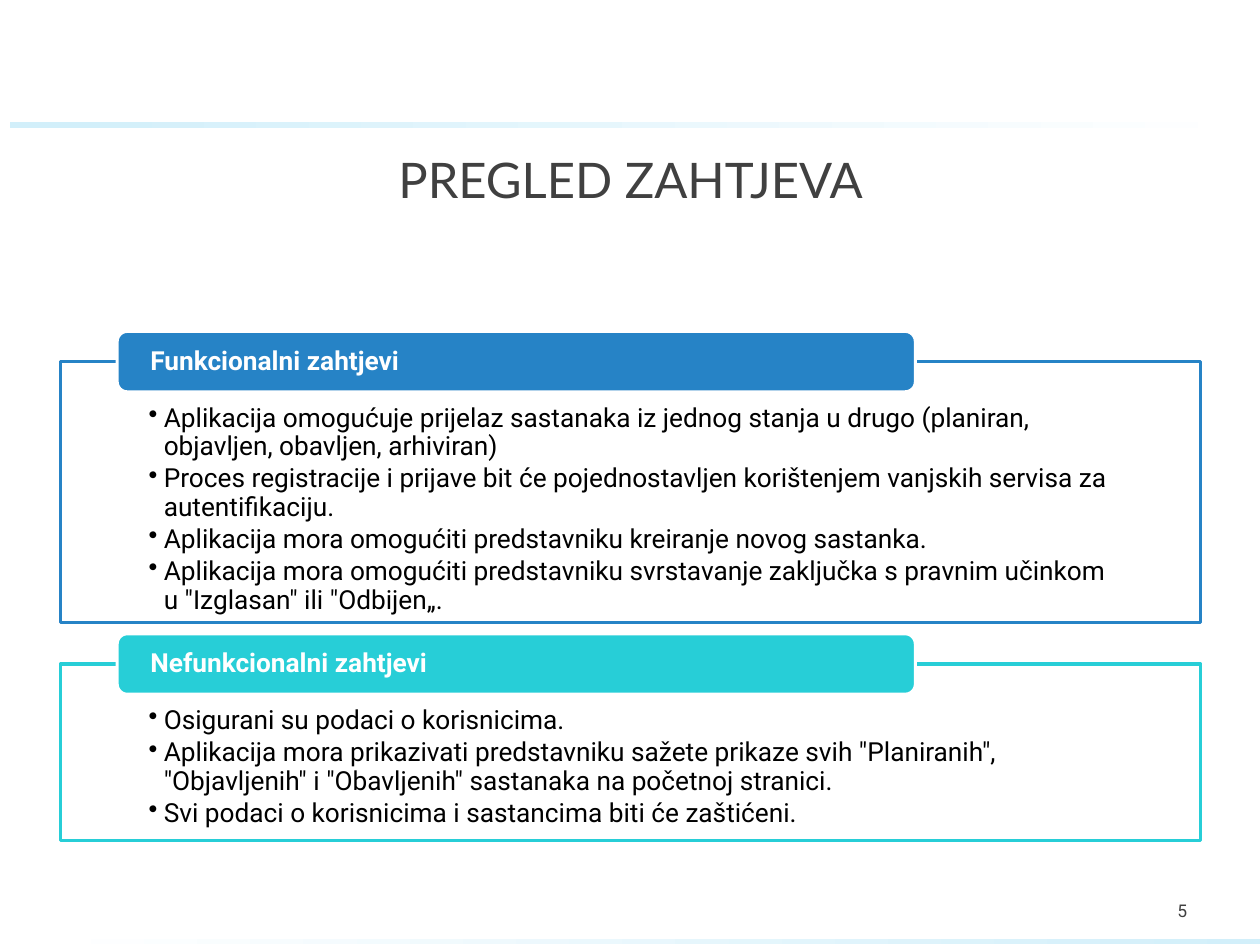
from lxml.etree import SubElement
from pptx import Presentation
from pptx.dml.color import RGBColor
from pptx.enum.shapes import MSO_SHAPE as Geo
from pptx.enum.text import MSO_ANCHOR as Anchor, PP_ALIGN as Align
from pptx.oxml.ns import qn
from pptx.util import Inches, Pt

COLORS = {
    "blue": "2683C6", "teal": "27CED7", "pale": "D2EFFA",
    "white": "FFFFFF", "black": "000000", "gray": "404040",
}
GROUPS = [
    ("Funkcionalni zahtjevi", "blue", 2.63, 2.07, [
        "Aplikacija omogućuje prijelaz sastanaka iz jednog stanja u drugo "
        "(planiran, objavljen, obavljen, arhiviran)",
        "Proces registracije i prijave bit će pojednostavljen korištenjem "
        "vanjskih servisa za autentifikaciju.",
        "Aplikacija mora omogućiti predstavniku kreiranje novog sastanka.",
        "Aplikacija mora omogućiti predstavniku svrstavanje zaključka "
        "s pravnim učinkom u \"Izglasan\" ili \"Odbijen„.",
    ]),
    ("Nefunkcionalni zahtjevi", "teal", 5.03, 1.4, [
        "Osigurani su podaci o korisnicima.",
        "Aplikacija mora prikazivati predstavniku sažete prikaze svih "
        "\"Planiranih\", \"Objavljenih\" i \"Obavljenih\" sastanaka na "
        "početnoj stranici.",
        "Svi podaci o korisnicima i sastancima biti će zaštićeni.",
    ]),
]


def color(name):
    return RGBColor.from_string(COLORS[name])


def add_box(slide, geo, box, fill, line):
    shape = slide.shapes.add_shape(geo, *map(Inches, box))
    shape.shadow.inherit = False
    shape.fill.solid()
    shape.fill.fore_color.rgb = color(fill)
    shape.line.color.rgb = color(line)
    shape.line.width = Pt(1.75)
    return shape


def add_band(slide, box, start, end):
    """Add a thin bar fading from left to right."""
    band = slide.shapes.add_shape(Geo.RECTANGLE, *map(Inches, box))
    band.shadow.inherit = False
    band.line.fill.background()
    band.fill.gradient()
    band.fill.gradient_angle = 0
    for stop, name, place in zip(band.fill.gradient_stops,
                                 (start, end), (0.03, 1)):
        stop.color.rgb = color(name)
        stop.position = place


def write(shape, lines, font, tint, insets, anchor, para):
    """Fill a shape with one paragraph for each line."""
    frame = shape.text_frame
    frame.word_wrap = True
    frame.vertical_anchor = anchor
    sides = ("left", "top", "right", "bottom")
    for side, inset in zip(sides, insets):
        setattr(frame, f"margin_{side}", Inches(inset))
    for i, line in enumerate(lines):
        par = frame.paragraphs[0] if i == 0 else frame.add_paragraph()
        for key, value in para.items():
            setattr(par, key, value)
        run = par.add_run()
        run.text = line
        for key, value in font.items():
            setattr(run.font, key, value)
        run.font.color.rgb = color(tint)


def add_bullets(shape, indent):
    for par in shape.text_frame.paragraphs:
        props = par._p.get_or_add_pPr()
        props.set("marL", str(Inches(indent)))
        props.set("indent", str(-Inches(indent)))
        SubElement(props, qn("a:buChar")).set("char", "•")


def add_label(slide, box, text, font, para):
    label = slide.shapes.add_textbox(*map(Inches, box))
    write(label, [text], font, "gray", (0.1, 0.05, 0.1, 0.05),
          Anchor.MIDDLE, para)


def add_group(slide, box, head, tint, items):
    """Add a framed list with a heading tab over its top edge."""
    left, top, width, height = box
    tab_h = 0.48
    font = {"name": "Roboto", "size": Pt(15)}
    para = {"alignment": Align.LEFT, "line_spacing": 0.9}
    frame = add_box(slide, Geo.RECTANGLE,
                    (left, top + tab_h / 2, width, height), "white", tint)
    write(frame, items, font, "black", (0.7, 0.34, 0.7, 0.12), Anchor.TOP,
          {**para, "space_after": Pt(2.25)})
    add_bullets(frame, 0.12)
    tab = add_box(slide, Geo.ROUNDED_RECTANGLE,
                  (left + 0.45, top, width * 0.7, tab_h), tint, "white")
    write(tab, [head], {**font, "bold": True}, "white", (0.24, 0, 0.24, 0),
          Anchor.MIDDLE, para)


def main():
    deck = Presentation()
    deck.slide_width, deck.slide_height = Inches(10), Inches(7.5)
    slide = deck.slides.add_slide(deck.slide_layouts[6])
    add_band(slide, (0.08, 0.97, 9.84, 0.05), "pale", "white")
    add_band(slide, (0, 7.45, 10, 0.04), "white", "pale")
    left, width = 0.48, 9.05
    add_label(slide, (left, 0.77, width, 1.3), "PREGLED ZAHTJEVA",
              {"name": "Lato", "size": Pt(28)}, {"alignment": Align.CENTER})
    add_label(slide, (8.66, 7.03, 0.86, 0.4), "5",
              {"name": "Roboto", "size": Pt(10)},
              {"alignment": Align.RIGHT, "space_after": Pt(6)})
    for head, tint, top, height, items in GROUPS:
        add_group(slide, (left, top, width, height), head, tint, items)
    deck.save("out.pptx")


if __name__ == "__main__":
    main()
